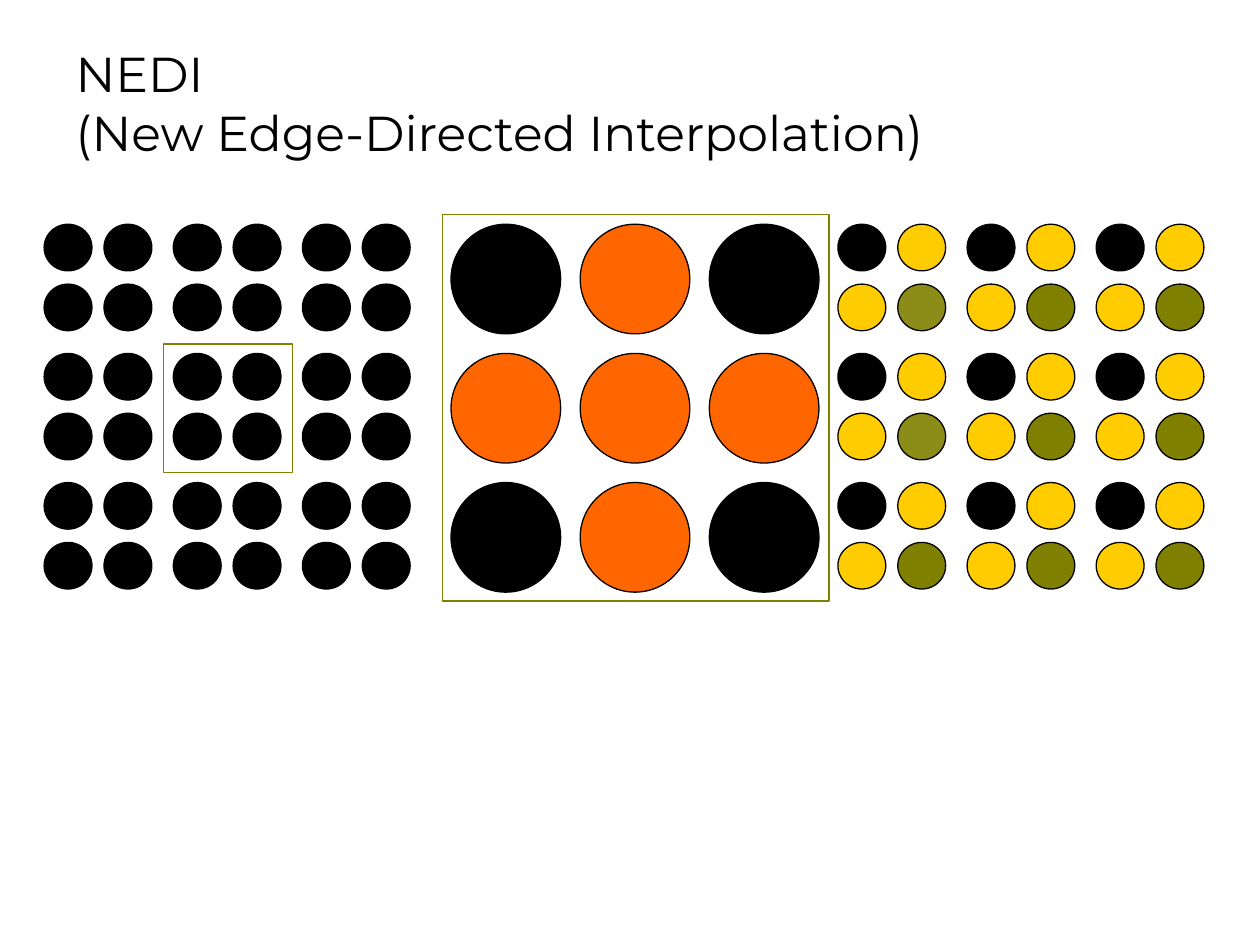
from itertools import product

from lxml import etree
from pptx import Presentation
from pptx.dml.color import RGBColor
from pptx.enum.shapes import MSO_SHAPE as Shape
from pptx.enum.text import MSO_ANCHOR as Anchor, MSO_AUTO_SIZE as AutoSize, PP_ALIGN as Align
from pptx.oxml.ns import qn
from pptx.util import Inches, Pt

BLACK, YELLOW, OLIVE, ORANGE = "000000", "FFCC00", "808000", "FF6600"

GRID_TOP = 1.78
BLOCK_PITCH = 1.025   # from one 2x2 block of pixels to the next
PIXEL_PITCH = 0.475   # between the pixels inside a block
SMALL, LARGE = (0.38, 0.37), (0.87, 0.87)


def paint(color_format, color):
    color_format.rgb = RGBColor.from_string(color)


def write(frame, text, font="Montserrat", size=28, color=BLACK, align=Align.LEFT):
    paragraph = frame.paragraphs[0]
    paragraph.alignment = align
    for number, line in enumerate(text.split("\n")):
        if number:
            paragraph.add_line_break()
        run = paragraph.add_run()
        run.text = line
        run.font.name, run.font.size = font, Pt(size)
        paint(run.font.color, color)


def add_figure(slide, kind, left, top, size, fill=None, line=BLACK, opacity=100):
    figure = slide.shapes.add_shape(kind, *map(Inches, (left, top, *size)))
    figure.shadow.inherit = False
    figure.line.width = Pt(0.75)
    paint(figure.line.color, line)
    if fill is None:
        figure.fill.background()
        return
    figure.fill.solid()
    paint(figure.fill.fore_color, fill)
    if opacity < 100:
        tint = figure.fill._xPr.find(qn("a:solidFill"))[0]
        etree.SubElement(tint, qn("a:alpha"), val=str(opacity * 1000))


def add_title(slide, text):
    title = slide.shapes.title
    title.left, title.top, title.width, title.height = map(Inches, (0.5, 0.3, 8.08, 1.03))
    frame = title.text_frame
    frame.vertical_anchor = Anchor.BOTTOM
    frame.word_wrap = True
    frame.auto_size = AutoSize.NONE
    write(frame, text)


def add_pixel_grid(slide, left, block_colors, translucent=()):
    """Draw 3x3 blocks of 2x2 pixels; block_colors[row][col] colours each block."""
    for block_row, block_col, row, col in product(range(3), range(3), range(2), range(2)):
        faded = (2 * block_row + row, 2 * block_col + col) in translucent
        add_figure(slide, Shape.OVAL,
                   left + block_col * BLOCK_PITCH + col * PIXEL_PITCH,
                   GRID_TOP + block_row * BLOCK_PITCH + row * PIXEL_PITCH,
                   SMALL, block_colors[row][col], opacity=90 if faded else 100)


def add_enlarged_block(slide, left):
    """Known pixels sit in the corners, missing ones between them."""
    for row, col in product(range(3), range(3)):
        corner = row != 1 and col != 1
        add_figure(slide, Shape.OVAL, left + col * BLOCK_PITCH, GRID_TOP + row * BLOCK_PITCH,
                   LARGE, BLACK if corner else ORANGE)


def main():
    deck = Presentation()
    deck.slide_width, deck.slide_height = Inches(10), Inches(7.5)
    slide = deck.slides.add_slide(deck.slide_layouts[5])
    add_title(slide, "NEDI\n(New Edge-Directed Interpolation)")

    # Source pixels, with the block to enlarge
    add_pixel_grid(slide, 0.35, [[BLACK, BLACK], [BLACK, BLACK]])
    add_figure(slide, Shape.RECTANGLE, 1.3, 2.73, (1.02, 1.02), line=OLIVE)

    # The enlarged block
    add_figure(slide, Shape.RECTANGLE, 3.51, 1.7, (3.07, 3.07), line=OLIVE)
    add_enlarged_block(slide, 3.58)

    # Interpolated pixels
    add_pixel_grid(slide, 6.65, [[BLACK, YELLOW], [YELLOW, OLIVE]],
                   translucent={(1, 1), (3, 1)})

    deck.save("out.pptx")


if __name__ == "__main__":
    main()
